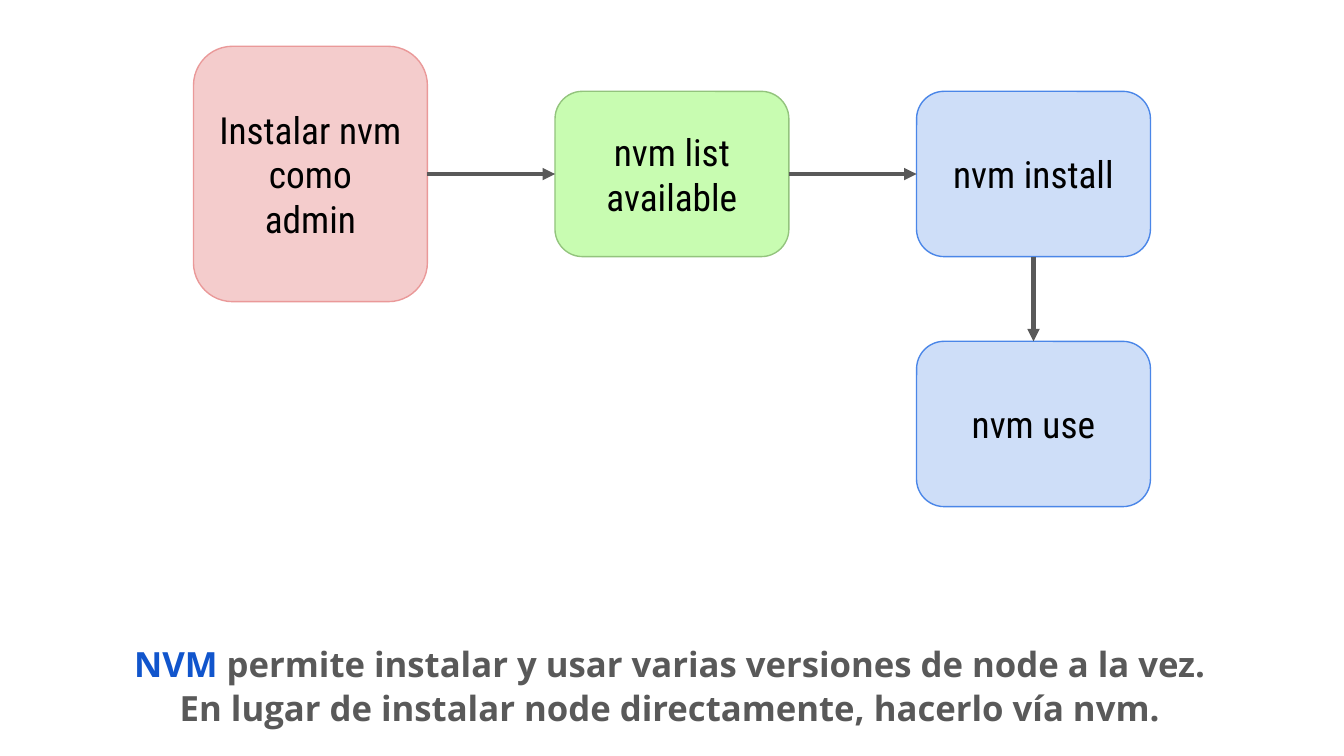
"""Build a slide with the nvm installation steps as a flow chart."""
from lxml import etree
from pptx import Presentation
from pptx.dml.color import RGBColor
from pptx.enum.shapes import MSO_CONNECTOR, MSO_SHAPE
from pptx.enum.text import MSO_ANCHOR, PP_ALIGN
from pptx.oxml.ns import qn
from pptx.util import Inches, Pt

ROUNDED = MSO_SHAPE.ROUNDED_RECTANGLE
STRAIGHT = MSO_CONNECTOR.STRAIGHT
MIDDLE = MSO_ANCHOR.MIDDLE
CENTER = PP_ALIGN.CENTER
TOP, LEFT, BOTTOM, RIGHT = range(4)

COLORS = {
    "black": "000000", "gray": "595959", "link": "1155CC",
    "pink": "F4CCCC", "rose": "EA9999",
    "lime": "67F929", "green": "93C47D", "blue": "4A86E8",
}
MARGINS = {f"margin_{side}": Inches(0.1) for side in ("left", "top", "right", "bottom")}
STEP_FONT = {"name": "Roboto Condensed", "size": Pt(20)}
CAPTION_FONT = {"name": "Open Sans", "size": Pt(18.6), "bold": True}


def rgb(name):
    return RGBColor.from_string(COLORS[name])


def add_lines(para, text, font, color):
    for index, line in enumerate(text.split("\n")):
        if index:
            para.add_line_break()
        span = para.add_run()
        span.text = line
        for key, value in font.items():
            setattr(span.font, key, value)
        span.font.color.rgb = rgb(color)


deck = Presentation()
deck.slide_width = Inches(10)
deck.slide_height = deck.slide_width * 9 // 16
page = deck.slides.add_slide(deck.slide_layouts[6])

caption = page.shapes.add_textbox(Inches(0.34), Inches(4.67), Inches(9.29), Inches(0.84))
frame = caption.text_frame
for key, value in {**MARGINS, "word_wrap": True}.items():
    setattr(frame, key, value)
para = frame.paragraphs[0]
for key, value in {"alignment": CENTER, "line_spacing": 1.05, "space_after": Pt(12)}.items():
    setattr(para, key, value)
add_lines(para, "NVM ", CAPTION_FONT, "link")
add_lines(
    para,
    "permite instalar y usar varias versiones de node a la vez.\n"
    "En lugar de instalar node directamente, hacerlo vía nvm.",
    CAPTION_FONT, "gray")

STEP_WIDTH, STEP_HEIGHT, COLUMN_STEP = 1.74, 1.23, 2.69
ROW_TOPS = [0.68, 2.54]
steps = [
    (["Instalar nvm", "como\nadmin"], 0, 0, 1.9, "pink", "rose", 100),
    (["nvm list available"], 1, 0, STEP_HEIGHT, "lime", "green", 36),
    (["nvm install"], 2, 0, STEP_HEIGHT, "blue", "blue", 27),
    (["nvm use"], 2, 1, STEP_HEIGHT, "blue", "blue", 27),
]
boxes = []
for paragraphs, column, row, height, fill, border, opacity in steps:
    box = page.shapes.add_shape(
        ROUNDED, Inches(1.44 + column * COLUMN_STEP),
        Inches(ROW_TOPS[row] + (STEP_HEIGHT - height) / 2),
        Inches(STEP_WIDTH), Inches(height))
    box.shadow.inherit = False
    box.fill.solid()
    box.fill.fore_color.rgb = rgb(fill)
    if opacity < 100:
        shade = box.fill._xPr.find(qn("a:solidFill"))[0]
        etree.SubElement(shade, qn("a:alpha"), val=str(opacity * 1000))
    box.line.color.rgb = rgb(border)
    box.line.width = Pt(0.75)
    frame = box.text_frame
    for key, value in {**MARGINS, "word_wrap": True, "vertical_anchor": MIDDLE}.items():
        setattr(frame, key, value)
    for index, text in enumerate(paragraphs):
        para = frame.add_paragraph() if index else frame.paragraphs[0]
        para.alignment = CENTER
        add_lines(para, text, STEP_FONT, "black")
    boxes.append(box)

sides = [(RIGHT, LEFT), (RIGHT, LEFT), (BOTTOM, TOP)]
for start, end, (start_side, end_side) in zip(boxes, boxes[1:], sides):
    arrow = page.shapes.add_connector(STRAIGHT, 0, 0, 0, 0)
    arrow.begin_connect(start, start_side)
    arrow.end_connect(end, end_side)
    arrow.line.color.rgb = rgb("gray")
    arrow.line.width = Pt(2.25)
    etree.SubElement(arrow.line._get_or_add_ln(), qn("a:tailEnd"), type="triangle")
    etree.SubElement(arrow._element.spPr, qn("a:effectLst"))

deck.save("out.pptx")
